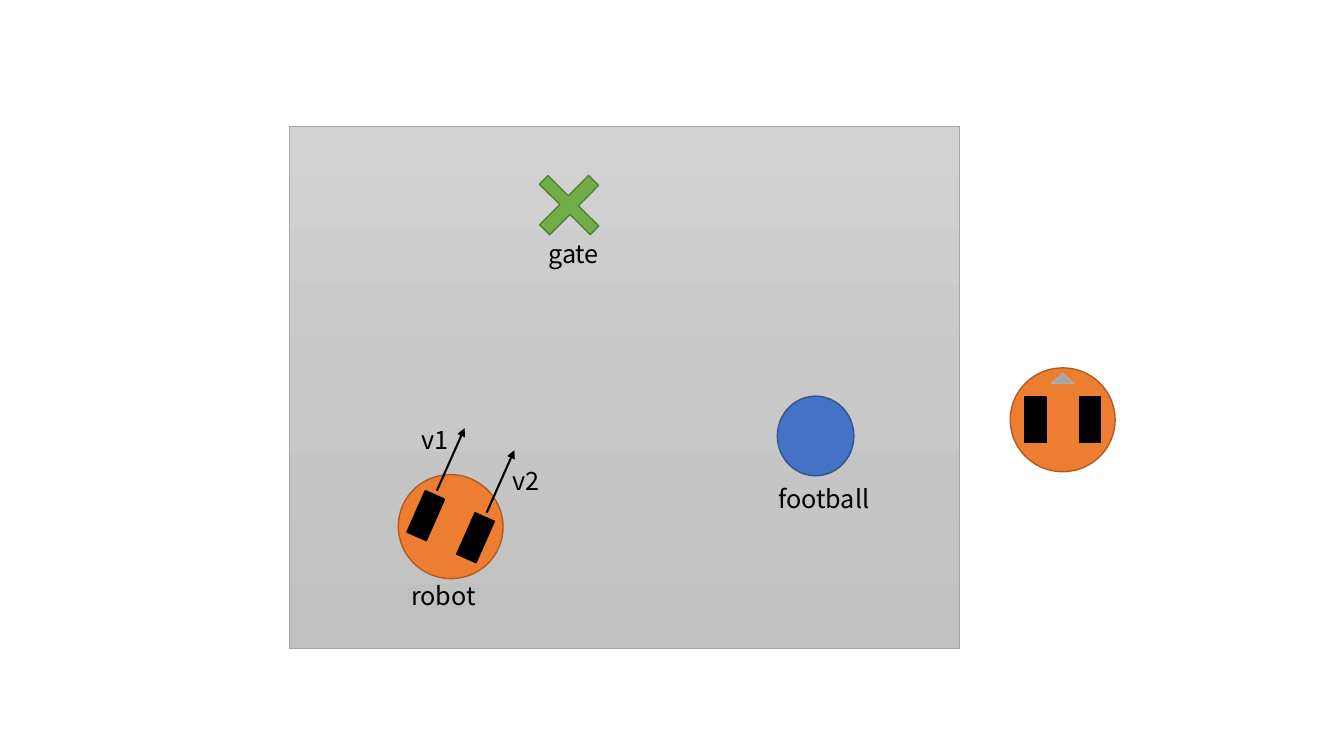
"""Builds a slide showing a robot, a ball and a gate on a playing field."""
import copy
import math

from lxml import etree
from pptx import Presentation
from pptx.dml.color import RGBColor
from pptx.enum.shapes import MSO_CONNECTOR, MSO_SHAPE
from pptx.enum.text import MSO_AUTO_SIZE
from pptx.oxml.ns import qn
from pptx.util import Inches, Pt

FONT = "Noto Sans CJK SC"
BLACK = RGBColor(0x00, 0x00, 0x00)
GRAY = RGBColor(0xA5, 0xA5, 0xA5)
GRAY_EDGE = RGBColor(0xAF, 0xAB, 0xAB)
ORANGE = RGBColor(0xED, 0x7D, 0x31)
ORANGE_EDGE = RGBColor(0xAF, 0x5C, 0x24)
BLUE = RGBColor(0x44, 0x72, 0xC4)
BLUE_EDGE = RGBColor(0x32, 0x54, 0x91)
GREEN = RGBColor(0x70, 0xAD, 0x47)
GREEN_EDGE = RGBColor(0x53, 0x80, 0x35)
FIELD_STOPS = [
    (0, RGBColor(0xD2, 0xD2, 0xD2)),
    (0.5, RGBColor(0xC8, 0xC8, 0xC8)),
    (1, RGBColor(0xC0, 0xC0, 0xC0)),
]
WHEEL_OFFSET = 0.27
ARROW_START = 0.27
ARROW_LENGTH = 0.68


def add_shape(shapes, kind, box, fill, edge, weight=1, rotation=0):
    """Add a shape at box (left, top, width, height), filled if fill is given."""
    shape = shapes.add_shape(kind, *map(Inches, box))
    shape.shadow.inherit = False
    shape.rotation = rotation
    if fill is not None:
        shape.fill.solid()
        shape.fill.fore_color.rgb = fill
    shape.line.color.rgb = edge
    shape.line.width = Pt(weight)
    return shape


def add_label(shapes, text, box):
    """Add a left-aligned 18 pt label."""
    label = shapes.add_textbox(*map(Inches, box))
    frame = label.text_frame
    frame.word_wrap = True
    frame.auto_size = MSO_AUTO_SIZE.SHAPE_TO_FIT_TEXT
    run = frame.paragraphs[0].add_run()
    run.text = text
    run.font.name = FONT
    run.font.size = Pt(18)
    run.font.color.rgb = BLACK


def add_arrow(shapes, start, end):
    """Add a black arrow pointing from start to end."""
    arrow = shapes.add_connector(MSO_CONNECTOR.STRAIGHT, *map(Inches, (*start, *end)))
    arrow.line.color.rgb = BLACK
    arrow.line.width = Pt(1.5)
    etree.SubElement(arrow.line._get_or_add_ln(), qn("a:tailEnd"), type="triangle")
    etree.SubElement(arrow._element.spPr, qn("a:effectLst"))


def turned(center, dx, dy, angle):
    """Return the point at offset (dx, dy) from center, turned clockwise."""
    cos, sin = math.cos(math.radians(angle)), math.sin(math.radians(angle))
    return center[0] + dx * cos - dy * sin, center[1] + dx * sin + dy * cos


def draw_field(shapes, box):
    """Draw the playing field with its vertical gradient."""
    field = add_shape(shapes, MSO_SHAPE.RECTANGLE, box, None, GRAY, 0.5)
    field.fill.gradient()
    field.fill.gradient_angle = 270
    stop_list = field._element.spPr.find(".//" + qn("a:gsLst"))
    stop_list.insert(1, copy.deepcopy(stop_list[0]))
    for stop, (position, color) in zip(field.fill.gradient_stops, FIELD_STOPS):
        stop.position = position
        stop.color.rgb = color


def draw_robot(shapes, box, angle=0, nose=False, arrows=False):
    """Draw a two-wheeled robot, optionally with a nose or wheel velocity arrows."""
    left, top, width, height = box
    center = left + width / 2, top + height / 2
    group = shapes.add_group_shape().shapes

    def add_part(kind, dx, dy, w, h, fill, edge):
        x, y = turned(center, dx, dy, angle)
        add_shape(group, kind, (x - w / 2, y - h / 2, w, h), fill, edge, rotation=angle)

    add_part(MSO_SHAPE.OVAL, 0, 0, width, height, ORANGE, ORANGE_EDGE)
    for side in (-WHEEL_OFFSET, WHEEL_OFFSET):
        add_part(MSO_SHAPE.RECTANGLE, side, 0, 0.21, 0.45, BLACK, BLACK)
        if arrows:
            start = turned(center, side, -ARROW_START, angle)
            end = turned(center, side, -ARROW_START - ARROW_LENGTH, angle)
            add_arrow(shapes, start, end)
    if nose:
        add_part(MSO_SHAPE.ISOSCELES_TRIANGLE, 0, -0.41, 0.22, 0.1, GRAY, GRAY_EDGE)


def draw_moving_robot(shapes, box):
    """Draw the turned robot with its velocity arrows and labels."""
    left, top = box[:2]
    draw_robot(shapes, box, angle=23.9, arrows=True)
    add_label(shapes, "v1", (left + 0.13, top - 0.55, 0.65, 0.41))
    add_label(shapes, "v2", (left + 1.03, top - 0.14, 0.65, 0.41))
    add_label(shapes, "robot", (left + 0.03, top + 1, 1.16, 0.4))


def draw_football(shapes, box):
    """Draw the ball with its label below."""
    left, top, _, height = box
    add_shape(shapes, MSO_SHAPE.OVAL, box, BLUE, BLUE_EDGE)
    add_label(shapes, "football", (left - 0.09, top + height + 0.03, 1.18, 0.4))


def draw_gate(shapes, box):
    """Draw the gate cross with its label below."""
    left, top = box[:2]
    cross = add_shape(shapes, MSO_SHAPE.CROSS, box, GREEN, GREEN_EDGE, rotation=314.7)
    cross.adjustments[0] = 0.413
    add_label(shapes, "gate", (left + 0.04, top + 0.64, 0.73, 0.4))


def main():
    """Build and save the slide."""
    deck = Presentation()
    deck.slide_width, deck.slide_height = Inches(13.33), Inches(7.5)
    shapes = deck.slides.add_slide(deck.slide_layouts[6]).shapes
    draw_field(shapes, (2.87, 1.25, 6.65, 5.18))
    draw_moving_robot(shapes, (3.95, 4.71, 1.04, 1.03))
    draw_football(shapes, (7.71, 3.93, 0.76, 0.79))
    draw_gate(shapes, (5.3, 1.68, 0.69, 0.71))
    draw_robot(shapes, (10.02, 3.65, 1.04, 1.03), nose=True)
    deck.save("out.pptx")


main()
